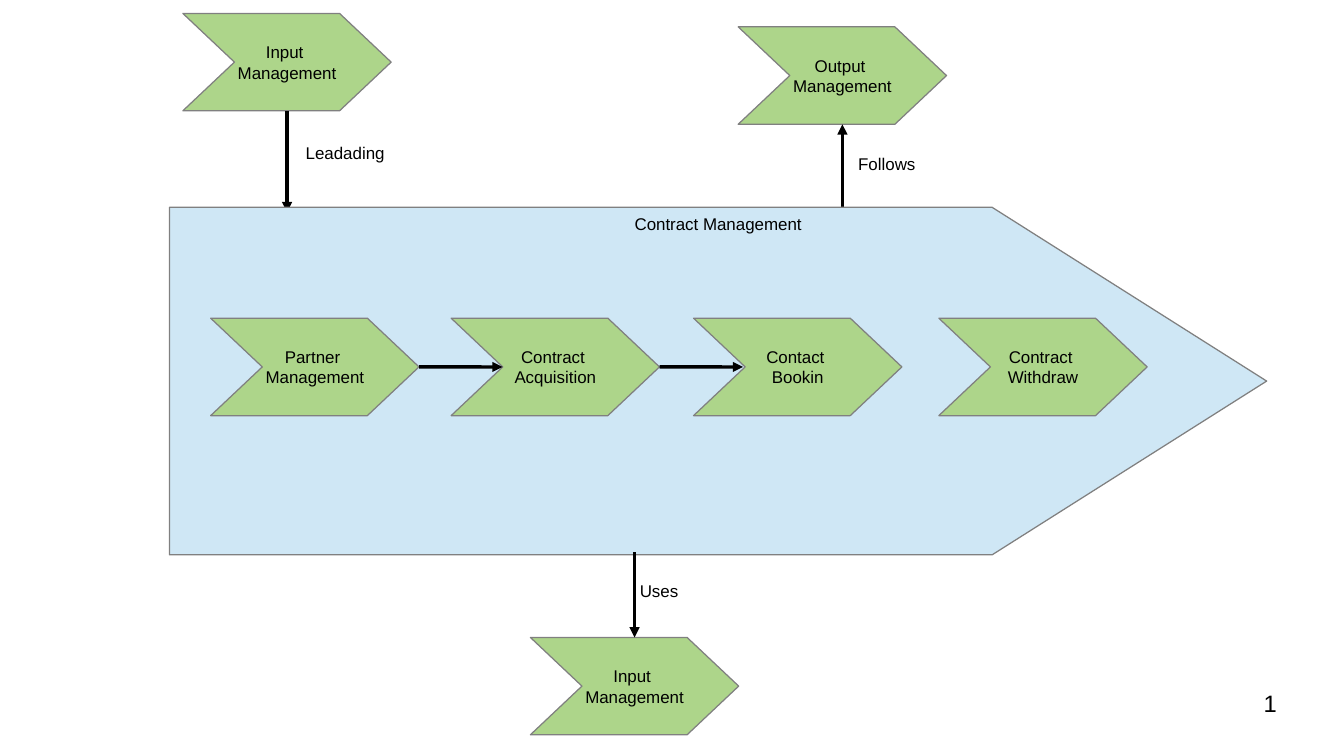
"""Build the contract management process map."""
from pptx import Presentation
from pptx import util as u
from pptx.dml.color import RGBColor
from pptx.enum import shapes, text
from pptx.oxml.ns import qn
from lxml import etree


def rgb(value):
    return RGBColor.from_string(value)


class ProcessMap:
    FONT, SIZE, INK, EDGE = "Arial", 10, "000000", "808080"
    STEP, PHASE = "ADD58A", "CFE7F5"
    STEP_W, STEP_H = 4.34, 2.03

    def __init__(self, slide):
        self.shapes = slide.shapes

    def set_text(self, sp, words, align, anchor, insets, size=SIZE):
        tf = sp.text_frame
        tf.word_wrap = True
        tf.vertical_anchor = anchor
        tf.margin_left, tf.margin_top, tf.margin_right, tf.margin_bottom = map(u.Cm, insets)
        p = tf.paragraphs[0]
        p.text = words
        p.alignment = align
        for r in p.runs:
            r.font.name = self.FONT
            r.font.size = u.Pt(size)
            r.font.color.rgb = rgb(self.INK)

    def block(self, kind, box, point, fill):
        sp = self.shapes.add_shape(kind, *map(u.Cm, box))
        sp.adjustments[0] = point
        sp.shadow.inherit = False
        sp.fill.solid()
        sp.fill.fore_color.rgb = rgb(fill)
        sp.line.color.rgb = rgb(self.EDGE)
        sp.line.width = u.Pt(0)
        return sp

    def step(self, words, left, top):
        box = (left, top, self.STEP_W, self.STEP_H)
        sp = self.block(shapes.MSO_SHAPE.CHEVRON, box, 0.53, self.STEP)
        self.set_text(sp, words, text.PP_ALIGN.CENTER, text.MSO_ANCHOR.MIDDLE, (0, 0, 0, 0))
        return sp

    def phase(self, words, left, top, width, height):
        point = 0.79
        box = (left, top, width, height)
        sp = self.block(shapes.MSO_SHAPE.PENTAGON, box, point, self.PHASE)
        insets = (0.25 + point * height / 2, 0.13, 0.25, 0.13)
        self.set_text(sp, words, text.PP_ALIGN.CENTER, text.MSO_ANCHOR.TOP, insets)

    def arrow(self, x1, y1, x2, y2, source=None):
        cxn = self.shapes.add_connector(
            shapes.MSO_CONNECTOR.STRAIGHT, *map(u.Cm, (x1, y1, x2, y2)))
        if source is not None:
            cxn.begin_connect(source, 3)
        cxn.line.color.rgb = rgb(self.INK)
        cxn.line.width = u.Pt(0)
        props = cxn.element.spPr
        etree.SubElement(props.find(qn("a:ln")), qn("a:tailEnd"), type="triangle")
        etree.SubElement(props, qn("a:effectLst"))

    def label(self, words, left, top, width):
        sp = self.shapes.add_textbox(*map(u.Cm, (left, top, width, 0.74)))
        self.set_text(sp, words, text.PP_ALIGN.LEFT, text.MSO_ANCHOR.TOP,
                      (0.25, 0.13, 0.25, 0.13))

    def number(self, words, left, top, width, height):
        sp = self.shapes.add_textbox(*map(u.Cm, (left, top, width, height)))
        self.set_text(sp, words, text.PP_ALIGN.RIGHT, text.MSO_ANCHOR.TOP, (0, 0, 0, 0), 14)


def main():
    prs = Presentation()
    prs.slide_width, prs.slide_height = u.Cm(28), u.Cm(15.75)
    m = ProcessMap(prs.slides.add_slide(prs.slide_layouts[6]))

    m.step("Input \vManagement", 3.81, 0.28)
    m.arrow(5.98, 2.31, 5.98, 4.42)
    m.step("Output \vManagement", 15.38, 0.56)
    m.arrow(17.55, 4.32, 17.55, 2.59)
    m.phase("Contract Management", 3.53, 4.32, 22.86, 7.24)

    row_top = 6.63
    row_mid = row_top + m.STEP_H / 2
    stages = [("Partner \vManagement", 4.39), ("Contract \vAcquisition", 9.4),
              ("Contact \vBookin", 14.45), ("Contract \vWithdraw", 19.56)]
    steps = [m.step(words, left, row_top) for words, left in stages]
    for sp, (_, left) in zip(steps[:2], stages):
        tip = left + m.STEP_W
        m.arrow(tip, row_mid, tip + 1.74, row_mid, sp)

    m.step("Input \vManagement", 11.05, 13.28)
    m.arrow(13.22, 11.51, 13.22, 13.28)

    m.label("Uses", 13.08, 11.96, 1.5)
    m.label("Leadading", 6.12, 2.84, 2.44)
    m.label("Follows", 17.63, 3.07, 1.93)
    m.number("1", 20.07, 14.35, 6.53, 1.09)
    prs.save("out.pptx")


if __name__ == "__main__":
    main()
